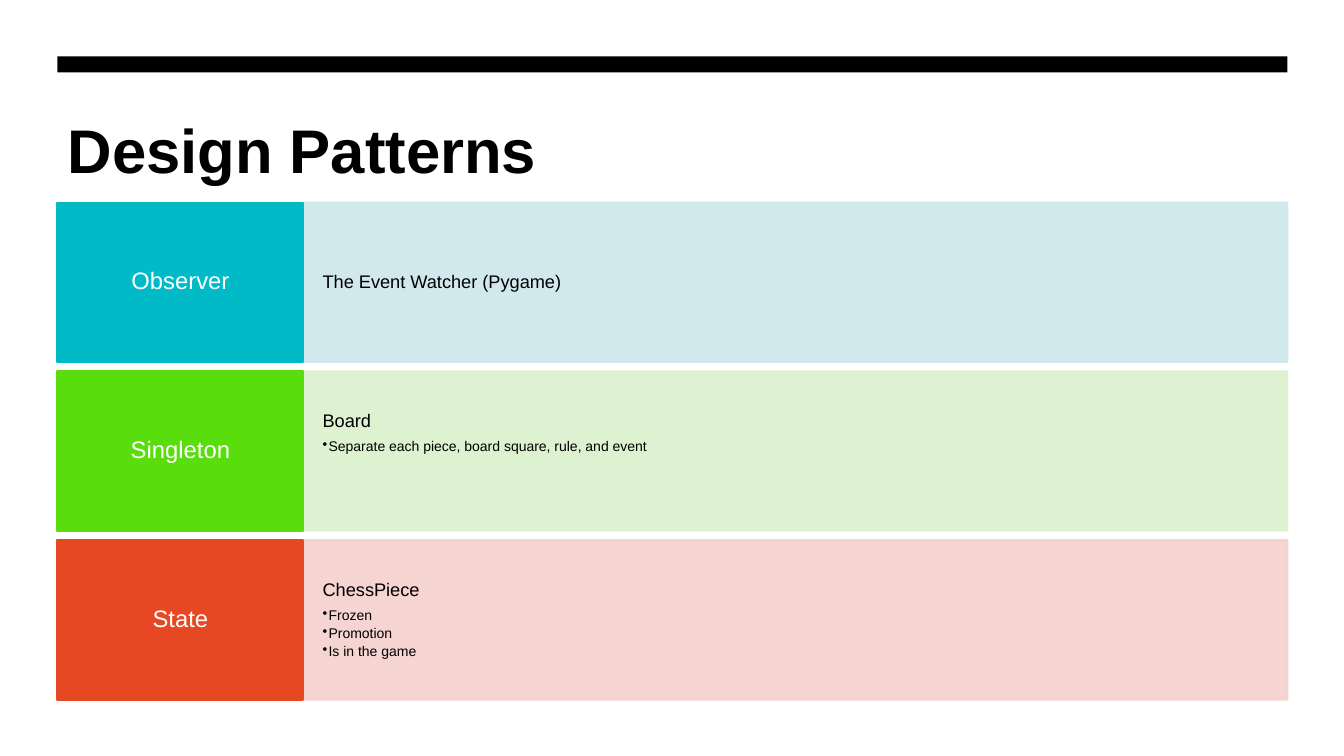
from lxml import etree
from pptx import Presentation
from pptx.dml.color import RGBColor
from pptx.enum.shapes import MSO_SHAPE
from pptx.enum.text import MSO_ANCHOR, PP_ALIGN
from pptx.oxml.ns import qn
from pptx.util import Inches, Pt

RECT = MSO_SHAPE.RECTANGLE
TOP, MIDDLE = MSO_ANCHOR.TOP, MSO_ANCHOR.MIDDLE
LEFT, CENTER = PP_ALIGN.LEFT, PP_ALIGN.CENTER
BLACK = RGBColor(0x00, 0x00, 0x00)
WHITE = RGBColor(0xFF, 0xFF, 0xFF)
TEAL, ICE = RGBColor(0x00, 0xBA, 0xC8), RGBColor(0xCC, 0xE7, 0xEB)
GREEN, MINT = RGBColor(0x59, 0xDD, 0x0C), RGBColor(0xDB, 0xF1, 0xCC)
RED, PINK = RGBColor(0xE6, 0x48, 0x23), RGBColor(0xF5, 0xD0, 0xCD)

TITLE = "Design Patterns"
ROWS = [
    ("Observer", TEAL, ICE, "The Event Watcher (Pygame)", []),
    ("Singleton", GREEN, MINT, "Board",
     ["Separate each piece, board square, rule, and event"]),
    ("State", RED, PINK, "ChessPiece",
     ["Frozen", "Promotion", "Is in the game"]),
]
EDGE, WIDTH, NAME_W = 0.57, 12.2, 2.44
ROW_TOP, ROW_H, PITCH = 2.01, 1.58, 1.675


def add_box(slide, x, y, w, h, color):
    """Add a plain filled rectangle, sized in inches."""
    box = slide.shapes.add_shape(RECT, Inches(x), Inches(y), Inches(w), Inches(h))
    box.shadow.inherit = False
    box.fill.solid()
    box.fill.fore_color.rgb = color
    box.line.color.rgb = color
    box.line.width = Pt(1.5)
    return box


def fade(box):
    """Make the fill and line of a box 90 percent opaque."""
    for color in box.fill._xPr.iter(qn("a:srgbClr")):
        etree.SubElement(color, qn("a:alpha"), val="90000")


def set_frame(box, side, end, anchor):
    """Set the margins and anchor of a box and return its text frame."""
    frame = box.text_frame
    frame.word_wrap = True
    frame.margin_left = frame.margin_right = Inches(side)
    frame.margin_top = frame.margin_bottom = Inches(end)
    frame.vertical_anchor = anchor
    return frame


def write(para, text, size, color, align, after):
    """Fill and format one paragraph."""
    para.text = text
    para.font.name = "Arial"
    para.font.size = Pt(size)
    para.font.color.rgb = color
    para.alignment = align
    para.line_spacing = 0.9
    para.space_after = Pt(after)


def add_bullet(para):
    """Give a paragraph a hanging bullet."""
    para.level = 1
    props = para._p.get_or_add_pPr()
    props.set("marL", str(Inches(0.06)))
    props.set("indent", str(-Inches(0.06)))
    etree.SubElement(props, qn("a:buChar"), char="•")
    props.append(props.find(qn("a:defRPr")))


def add_row(slide, y, row):
    """Add one pattern with its name and details."""
    name, dark, pale, head, points = row
    panel = add_box(slide, EDGE + NAME_W, y, WIDTH - NAME_W, ROW_H, pale)
    fade(panel)
    frame = set_frame(panel, 0.19, 0.4, TOP if points else MIDDLE)
    write(frame.paragraphs[0], head, 13, BLACK, LEFT, 5.5)
    for point in points:
        para = frame.add_paragraph()
        write(para, point, 10, BLACK, LEFT, 2)
        add_bullet(para)
    label = add_box(slide, EDGE, y, NAME_W, ROW_H, dark)
    frame = set_frame(label, 0.13, 0.16, MIDDLE)
    write(frame.paragraphs[0], name, 17, WHITE, CENTER, 6)


def main():
    """Build and save the slide."""
    deck = Presentation()
    deck.slide_width, deck.slide_height = Inches(13.33), Inches(7.5)
    slide = deck.slides.add_slide(deck.slide_layouts[5])
    title = slide.shapes.title
    title.left, title.top = Inches(EDGE), Inches(1.07)
    title.width, title.height = Inches(WIDTH), Inches(1.6)
    frame = set_frame(title, 0.1, 0.12, TOP)
    write(frame.paragraphs[0], TITLE, 44, BLACK, LEFT, 0)
    frame.paragraphs[0].font.bold = True
    bar = add_box(slide, EDGE, 0.56, WIDTH, 0.16, BLACK)
    bar.line.fill.background()
    for i, row in enumerate(ROWS):
        add_row(slide, ROW_TOP + i * PITCH, row)
    deck.save("out.pptx")


if __name__ == "__main__":
    main()
